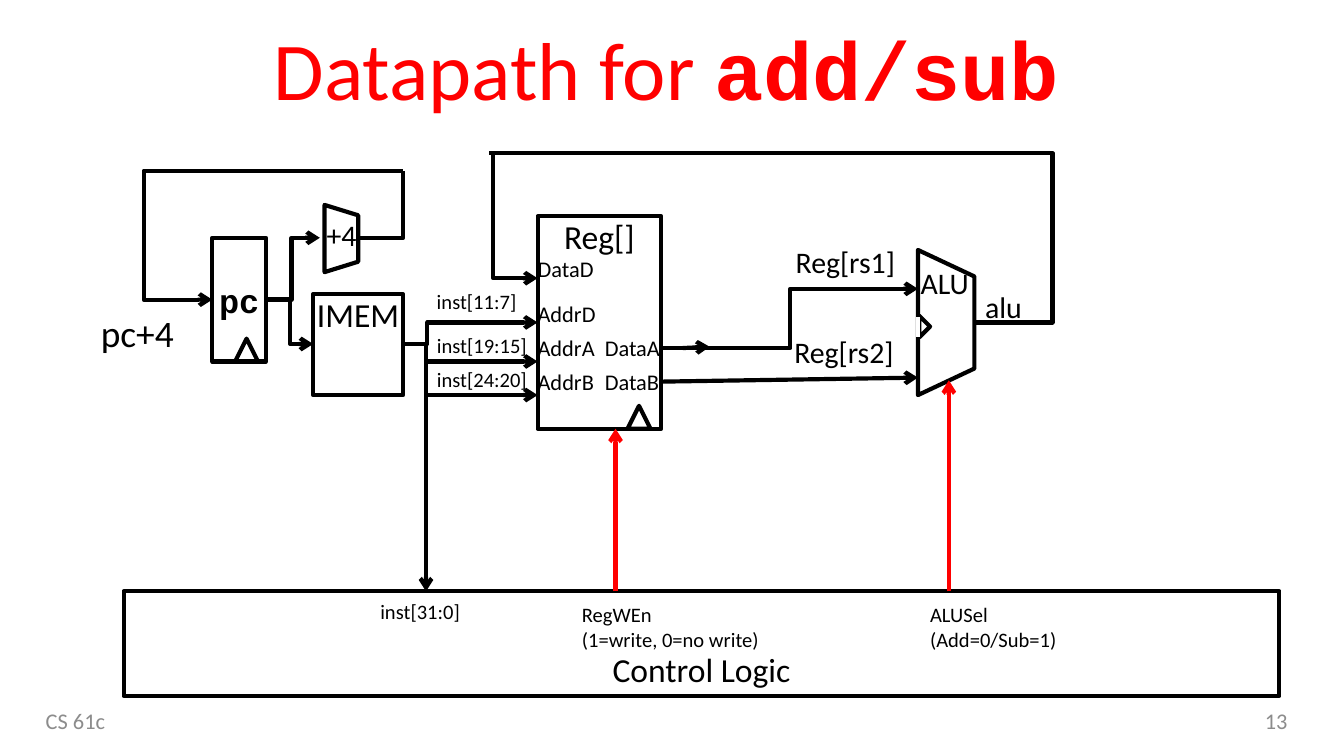
from lxml.etree import SubElement
from pptx import Presentation
from pptx.dml.color import RGBColor
from pptx.enum.shapes import MSO_CONNECTOR, MSO_SHAPE
from pptx.enum.text import MSO_ANCHOR, PP_ALIGN
from pptx.oxml.ns import qn
from pptx.util import Pt

PX = 9144
BLACK = RGBColor(0x00, 0x00, 0x00)
WHITE = RGBColor(0xFF, 0xFF, 0xFF)
RED = RGBColor(0xFF, 0x00, 0x00)
GRAY = RGBColor(0x8C, 0x8C, 0x8C)
LINE_WIDTH = Pt(2.25)


def write(box, text, size=18, font="Calibri", color=BLACK, bold=False,
          align=PP_ALIGN.LEFT, anchor=MSO_ANCHOR.TOP, wrap=True, bottom=0):
    frame = box.text_frame
    frame.word_wrap = wrap
    frame.vertical_anchor = anchor
    frame.margin_left = frame.margin_right = frame.margin_top = 0
    frame.margin_bottom = bottom * PX
    for index, line in enumerate(text.split("\n")):
        para = frame.add_paragraph() if index else frame.paragraphs[0]
        para.alignment = align
        span = para.add_run()
        span.text = line
        span.font.size = Pt(size)
        span.font.name = font
        span.font.color.rgb = color
        span.font.bold = bold


def place(left, top, width, height):
    return [value * PX for value in (left, top, width, height)]


deck = Presentation()
deck.slide_width = 1000 * PX
deck.slide_height = deck.slide_width * 9 // 16
page = deck.slides.add_slide(deck.slide_layouts[6])

title = page.shapes.add_textbox(*place(24, 12, 944, 86))
heading = dict(size=44, color=RED, align=PP_ALIGN.CENTER, anchor=MSO_ANCHOR.MIDDLE)
write(title, "Datapath for ", **heading)
write(title, "add/sub", font="Courier New", bold=True, **heading)
title.text_frame.paragraphs[0].line_spacing = 0.9

blocks = [
    ((92, 440, 860, 78), "Control Logic", MSO_ANCHOR.BOTTOM, "Calibri"),
    ((158, 177, 40, 92), "pc", MSO_ANCHOR.MIDDLE, "Courier New"),
    ((233, 219, 67, 75), "IMEM", MSO_ANCHOR.TOP, "Calibri"),
    ((400, 161, 92, 158), "Reg[]", MSO_ANCHOR.TOP, "Calibri"),
]
for area, text, anchor, font in blocks:
    block = page.shapes.add_shape(MSO_SHAPE.RECTANGLE, *place(*area))
    block.shadow.inherit = False
    block.fill.solid()
    block.fill.fore_color.rgb = WHITE
    block.line.color.rgb = BLACK
    block.line.width = LINE_WIDTH
    write(block, text, font=font, bold=text == "pc", align=PP_ALIGN.CENTER,
          anchor=anchor, bottom=5 if anchor == MSO_ANCHOR.BOTTOM else 0)

symbols = [
    (MSO_SHAPE.TRAPEZOID, (229, 165, 50, 25), 90, 0.31),
    (MSO_SHAPE.TRAPEZOID, (650, 219, 108, 42), 90, 0.47),
    (MSO_SHAPE.ISOSCELES_TRIANGLE, (175, 252, 17, 17), 0, 0.5),
    (MSO_SHAPE.ISOSCELES_TRIANGLE, (467, 302, 17, 17), 0, 0.5),
    (MSO_SHAPE.ISOSCELES_TRIANGLE, (680, 239, 16, 8), 90, 0.5),
]
for kind, area, angle, ratio in symbols:
    symbol = page.shapes.add_shape(kind, *place(*area))
    symbol.shadow.inherit = False
    symbol.rotation = angle
    symbol.adjustments[0] = ratio
    symbol.fill.background()
    symbol.line.color.rgb = BLACK
    symbol.line.width = LINE_WIDTH

wires = [
    ((198, 223), (238, 177), 217, BLACK, True),
    ((267, 177), (300, 127), 300, BLACK, False),
    ((300, 127), (158, 223), 107, BLACK, True),
    ((198, 223), (233, 256), 216, BLACK, True),
    ((300, 256), (400, 240), 318, BLACK, True),
    ((317, 256), (317, 440), None, BLACK, True),
    ((316, 269), (400, 269), None, BLACK, True),
    ((317, 294), (400, 294), None, BLACK, True),
    ((508, 259), (528, 258), None, BLACK, True),
    ((492, 259), (683, 215), 588, BLACK, True),
    ((491, 284), (683, 281), None, BLACK, True),
    ((367, 115), (400, 207), 367, BLACK, True),
    ((725, 240), (364, 114), 783, BLACK, False),
    ((683, 236), (683, 251), None, WHITE, False),
    ((458, 440), (458, 319), None, RED, True),
    ((706, 440), (706, 283), None, RED, True),
]
for start, end, bend, color, arrow in wires:
    kind = MSO_CONNECTOR.STRAIGHT if bend is None else MSO_CONNECTOR.ELBOW
    wire = page.shapes.add_connector(kind, *place(*start, *end))
    wire.line.color.rgb = color
    wire.line.width = LINE_WIDTH
    properties = wire._element.spPr
    if arrow:
        SubElement(properties.find(qn("a:ln")), qn("a:tailEnd"), type="arrow")
    if bend is not None:
        ratio = round((bend - start[0]) / (end[0] - start[0]) * 100000)
        guides = properties.find(qn("a:prstGeom")).get_or_add_avLst()
        SubElement(guides, qn("a:gd"), name="adj1", fmla=f"val {ratio}")
    SubElement(properties, qn("a:effectLst"))

labels = [
    ("+4", 243, 161, 23, 27, 16),
    ("pc+4", 75, 231, 55, 34, 20),
    ("inst[11:7]", 325, 215, 60, 19, 11),
    ("inst[19:15]", 325, 248, 68, 19, 11),
    ("inst[24:20]", 325, 273, 68, 19, 11),
    ("inst[31:0]", 283, 446, 60, 19, 11),
    ("RegWEn\n(1=write, 0=no write)", 433, 448, 133, 37, 11),
    ("ALUSel\n(Add=0/Sub=1)", 692, 448, 95, 37, 11),
    ("DataD", 400, 190, 42, 20, 12),
    ("AddrD", 400, 223, 44, 20, 12),
    ("AddrA", 400, 249, 43, 20, 12),
    ("AddrB", 400, 274, 42, 20, 12),
    ("DataA", 450, 249, 42, 20, 12),
    ("DataB", 450, 274, 41, 20, 12),
    ("Reg[rs1]", 592, 181, 75, 27, 16),
    ("Reg[rs2]", 591, 248, 75, 27, 16),
    ("ALU", 685, 197, 37, 27, 16),
    ("alu", 733, 215, 28, 27, 16),
]
for text, left, top, width, height, size in labels:
    label = page.shapes.add_textbox(*place(left, top, width, height))
    write(label, text, size=size, wrap=False)

for text, left, align in [("CS 61c", 34, PP_ALIGN.LEFT), ("13", 733, PP_ALIGN.RIGHT)]:
    footer = page.shapes.add_textbox(*place(left, 521, 225, 30))
    write(footer, text, size=12, color=GRAY, align=align, anchor=MSO_ANCHOR.MIDDLE)

deck.save("out.pptx")
